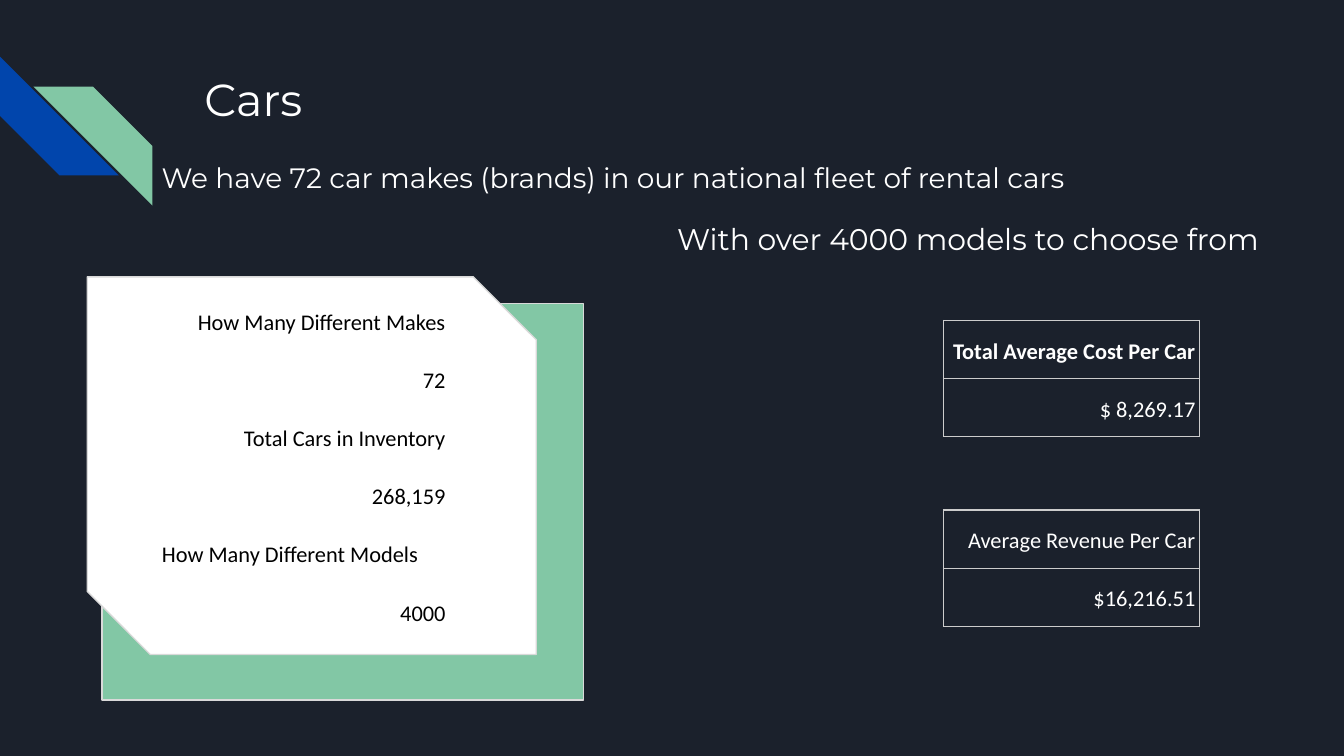
from lxml.etree import SubElement
from pptx import Presentation
from pptx.dml.color import RGBColor
from pptx.enum.shapes import MSO_SHAPE
from pptx.enum.text import MSO_ANCHOR, PP_ALIGN
from pptx.oxml.ns import qn
from pptx.util import Inches, Pt

COLORS = {
    "night": "1B212C",
    "blue": "0145AC",
    "green": "82C7A5",
    "white": "FFFFFF",
    "black": "000000",
    "edge": "D9D9D9",
    "border": "CCCCCC",
}

deck = Presentation()
deck.slide_width = Inches(10)
deck.slide_height = deck.slide_width * 9 // 16
page = deck.slides.add_slide(deck.slide_layouts[5])
page.background.fill.solid()
page.background.fill.fore_color.rgb = RGBColor.from_string(COLORS["night"])


def grid(*cells):
    return [round(cell * deck.slide_width / 100) for cell in cells]


def write(frame, text, font, size, color, align=PP_ALIGN.LEFT, bold=False):
    para = frame.paragraphs[0]
    para.alignment = align
    span = para.add_run()
    span.text = text
    span.font.name = font
    span.font.size = Pt(size)
    span.font.bold = bold
    span.font.color.rgb = RGBColor.from_string(COLORS[color])
    return para


shapes = [
    (MSO_SHAPE.DIAGONAL_STRIPE, (0, 4.2, 8.85, 8.85), "blue", None, [0.5], 270, False),
    (MSO_SHAPE.DIAGONAL_STRIPE, (2.5, 6.45, 8.85, 8.85), "green", None, [0.5], 0, True),
    (MSO_SHAPE.RECTANGLE, (7.6, 22.6, 35.8, 29.5), "green", "edge", [], 0, False),
    (MSO_SHAPE.SNIP_2_DIAG_RECTANGLE, (6.5, 20.6, 33.4, 28.1), "white", "edge", [0, 1 / 6], 0, False),
]
for kind, place, fill, line, adjustments, rotation, flipped in shapes:
    shape = page.shapes.add_shape(kind, *grid(*place))
    shape.shadow.inherit = False
    shape.fill.solid()
    shape.fill.fore_color.rgb = RGBColor.from_string(COLORS[fill])
    if line:
        shape.line.color.rgb = RGBColor.from_string(COLORS[line])
        shape.line.width = Pt(0.75)
    else:
        shape.line.fill.background()
    for index, value in enumerate(adjustments):
        shape.adjustments[index] = value
    shape.rotation = rotation
    if flipped:
        shape.element.spPr.find(qn("a:xfrm")).set("flipH", "1")

title = page.shapes.title
title.left, title.top, title.width, title.height = grid(14.2, 4.35, 77, 10)
headings = [
    (title, "Cars", 24),
    (
        page.shapes.add_textbox(*grid(11.05, 10.95, 71.6, 4.5)),
        "We have 72 car makes (brands) in our national fleet of rental cars",
        15,
    ),
    (
        page.shapes.add_textbox(*grid(49.4, 15.4, 47.4, 4.5)),
        "With over 4000 models to choose from",
        16,
    ),
]
for box, text, size in headings:
    frame = box.text_frame
    frame.word_wrap = True
    frame.vertical_anchor = MSO_ANCHOR.TOP
    frame.margin_left, frame.margin_top, frame.margin_right, frame.margin_bottom = grid(1, 1, 1, 1)
    write(frame, text, "Montserrat", size, "white")

inventory = [
    "How Many Different Makes",
    "72",
    "Total Cars in Inventory",
    "268,159",
    "How Many Different Models",
    "4000",
]
tables = [
    (11.05, 21.7, 22.4, inventory, "black", None),
    (70.2, 23.85, 19.05, ["Total Average Cost Per Car", "$ 8,269.17"], "white", "border"),
    (70.2, 37.95, 19.05, ["Average Revenue Per Car", "$16,216.51"], "white", "border"),
]
for left, top, width, texts, color, border in tables:
    holder = page.shapes.add_table(len(texts), 1, *grid(left, top, width, 4.33 * len(texts)))
    table = holder.table
    table.first_row = False
    table.horz_banding = False
    for row, text in enumerate(texts):
        cell = table.cell(row, 0)
        indented = text == "How Many Different Models"
        side = 1 if indented else 0.3
        align = PP_ALIGN.LEFT if indented else PP_ALIGN.RIGHT
        cell.margin_left, cell.margin_top, cell.margin_right, cell.margin_bottom = grid(side, 1, side, 1)
        cell.vertical_anchor = MSO_ANCHOR.BOTTOM
        bold = text == "Total Average Cost Per Car"
        para = write(cell.text_frame, text, "Calibri", 12, color, align, bold)
        para.line_spacing = 1.15
        properties = cell._tc.get_or_add_tcPr()
        for edge in ("a:lnL", "a:lnR", "a:lnT", "a:lnB"):
            line = SubElement(properties, qn(edge), w=str(Pt(0.75)))
            if border:
                paint = SubElement(line, qn("a:solidFill"))
                SubElement(paint, qn("a:srgbClr"), val=COLORS[border])
            else:
                SubElement(line, qn("a:noFill"))
        cell.fill.background()

deck.save("out.pptx")
